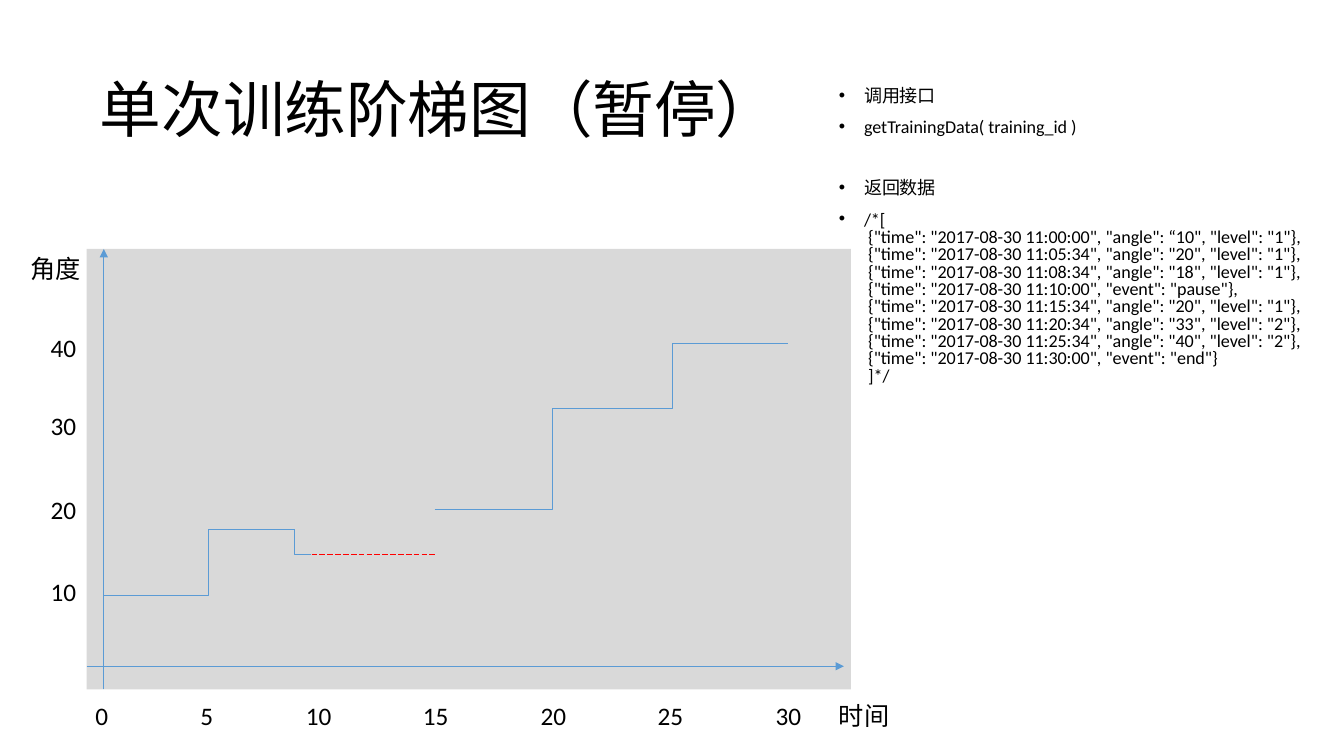
from dataclasses import dataclass

from lxml import etree
from pptx import Presentation
from pptx.dml.color import RGBColor
from pptx.enum.dml import MSO_LINE
from pptx.enum.shapes import MSO_CONNECTOR, MSO_SHAPE
from pptx.enum.text import MSO_ANCHOR, MSO_AUTO_SIZE, PP_ALIGN
from pptx.oxml.ns import qn
from pptx.util import Inches, Pt

STRAIGHT, ELBOW = MSO_CONNECTOR.STRAIGHT, MSO_CONNECTOR.ELBOW
RECTANGLE = MSO_SHAPE.RECTANGLE
LONG_DASH = MSO_LINE.LONG_DASH
LEFT, CENTER = PP_ALIGN.LEFT, PP_ALIGN.CENTER
MIDDLE, TOP = MSO_ANCHOR.MIDDLE, MSO_ANCHOR.TOP
NO_AUTOFIT = MSO_AUTO_SIZE.NONE

FONT = "Calibri"
BLACK, BLUE, RED, GREY = "000000", "5B9BD5", "FF0000", "D9D9D9"
NBSP = "\u00a0"
BODY_SIZE = 12.9


@dataclass
class Line:
    start: tuple[float, float]
    end: tuple[float, float]
    color: str = BLUE
    bend: float | None = None  # share of the width where the step rises or falls
    arrow: bool = False
    dashed: bool = False


@dataclass
class Label:
    text: str
    center_x: float
    center_y: float
    width: float = 0.46


def rgb(color: str) -> RGBColor:
    return RGBColor.from_string(color)


def format_paragraph(para, size: float, align=LEFT) -> None:
    para.alignment = align
    for span in para.runs:
        span.font.name = FONT
        span.font.size = Pt(size)
        span.font.color.rgb = rgb(BLACK)


def place(shape, left: float, top: float, width: float, height: float) -> None:
    shape.left, shape.top = Inches(left), Inches(top)
    shape.width, shape.height = Inches(width), Inches(height)


def draw_line(page, line: Line) -> None:
    kind = STRAIGHT if line.bend is None else ELBOW
    points = [Inches(value) for value in (*line.start, *line.end)]
    connector = page.shapes.add_connector(kind, *points)
    connector.line.color.rgb = rgb(line.color)
    connector.line.width = Pt(0.5)
    if line.dashed:
        connector.line.dash_style = LONG_DASH
    properties = connector._element.spPr
    if line.arrow:
        etree.SubElement(properties.find(qn("a:ln")), qn("a:tailEnd"), type="triangle")
    if line.bend is not None:
        guides = properties.find(qn("a:prstGeom")).get_or_add_avLst()
        formula = f"val {round(line.bend * 100000)}"
        etree.SubElement(guides, qn("a:gd"), name="adj1", fmla=formula)
    etree.SubElement(properties, qn("a:effectLst"))


def draw_label(page, label: Label) -> None:
    height = 0.4
    box = page.shapes.add_textbox(
        Inches(label.center_x - label.width / 2),
        Inches(label.center_y - height / 2),
        Inches(label.width),
        Inches(height),
    )
    box.text_frame.word_wrap = False
    box.text_frame.text = label.text
    format_paragraph(box.text_frame.paragraphs[0], 18, CENTER)


def record(time: str, fields: str) -> str:
    return f' {{"time": "2017-08-30 {time}", {fields}}}'


deck = Presentation()
deck.slide_width, deck.slide_height = Inches(13.33), Inches(7.5)
page = deck.slides.add_slide(deck.slide_layouts[1])

# Title
title = page.shapes.title
place(title, 0.89, 0.39, 11.5, 1.45)
title.text_frame.text = "单次训练阶梯图（暂停）"
title.text_frame.vertical_anchor = MIDDLE
title.text_frame.auto_size = NO_AUTOFIT
title.text_frame.paragraphs[0].line_spacing = 0.9
format_paragraph(title.text_frame.paragraphs[0], 44)

# Plot background
plot = page.shapes.add_shape(
    RECTANGLE, Inches(0.86), Inches(2.47), Inches(7.58), Inches(4.37)
)
plot.shadow.inherit = False
plot.fill.solid()
plot.fill.fore_color.rgb = rgb(GREY)
plot.line.fill.background()

# Axes, training steps and the pause
LINES = [
    Line((1.03, 6.84), (1.03, 2.47), arrow=True),
    Line((0.86, 6.61), (8.37, 6.61), arrow=True),
    Line((1.03, 5.91), (2.93, 5.25), bend=0.546),
    Line((2.13, 5.25), (3.09, 5.5), bend=0.819),
    Line((4.31, 5.05), (6.55, 4.05), bend=0.523),
    Line((6.55, 4.05), (7.82, 3.41), bend=0.095),
    Line((3.09, 5.5), (4.31, 5.5), color=RED, dashed=True),
]
for line in LINES:
    draw_line(page, line)

# Axis labels
ANGLE_CENTERS = {10: 5.87, 20: 5.05, 30: 4.22, 40: 3.45}
TIME_CENTERS = {0: 1.01, 5: 2.05, 10: 3.16, 15: 4.32, 20: 5.49, 25: 6.65, 30: 7.82}
labels = [Label(str(angle), 0.63, y) for angle, y in ANGLE_CENTERS.items()]
labels += [Label(str(time), x, 7.1) for time, x in TIME_CENTERS.items()]
labels += [Label("角度", 0.55, 2.66, 0.7), Label("时间", 8.57, 7.1, 0.7)]
for label in labels:
    draw_label(page, label)

# Interface call and the data it returns
RECORDS = [
    ("11:00:00", '"angle": “10", "level": "1"'),
    ("11:05:34", '"angle": "20", "level": "1"'),
    ("11:08:34", '"angle": "18", "level": "1"'),
    ("11:10:00", '"event": "pause"'),
    ("11:15:34", '"angle": "20", "level": "1"'),
    ("11:20:34", '"angle": "33", "level": "2"'),
    ("11:25:34", '"angle": "40", "level": "2"'),
    ("11:30:00", '"event": "end"'),
]
records = ",\v".join(record(time, fields) for time, fields in RECORDS)
returned_data = f"/*[\v{records}\v ]*/".replace(" ", NBSP)
BODY_ITEMS = [  # text and space before in points
    ("调用接口", 0),
    ("getTrainingData( training_id )", 10),
    ("返回数据", 31),
    (returned_data, 10),
]
body = page.placeholders[1]
place(body, 8.22, 0.83, 5.1, 3.08)
frame = body.text_frame
frame.text = "\n".join(text for text, _ in BODY_ITEMS)
frame.vertical_anchor = TOP
frame.auto_size = NO_AUTOFIT
for para, (_, space_before) in zip(frame.paragraphs, BODY_ITEMS):
    para.line_spacing = 0.8
    para.space_before = Pt(space_before)
    format_paragraph(para, BODY_SIZE)
    indents = para._p.get_or_add_pPr()
    indents.set("marL", str(Inches(0.25)))
    indents.set("indent", str(Inches(-0.25)))
    for line_break in para._p.findall(qn("a:br")):
        etree.SubElement(line_break, qn("a:rPr"), sz=str(round(BODY_SIZE * 100)))

deck.save("out.pptx")
